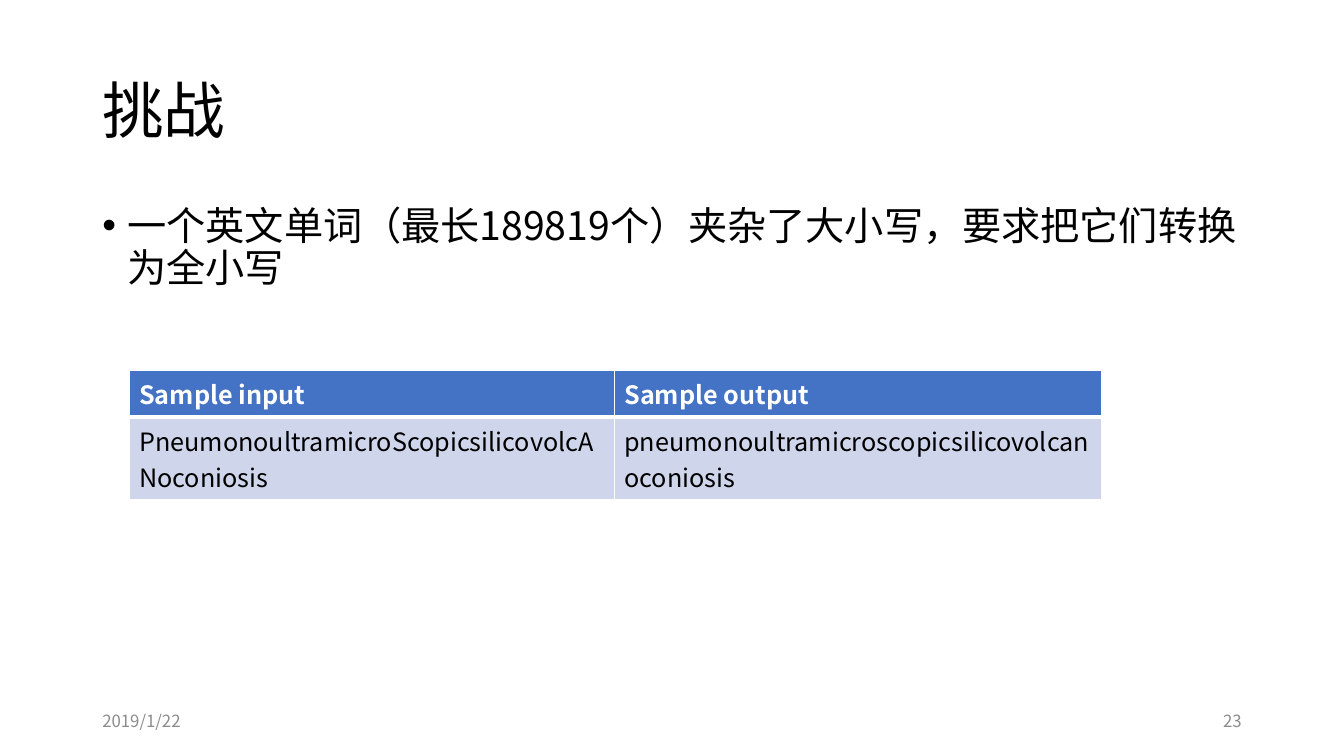
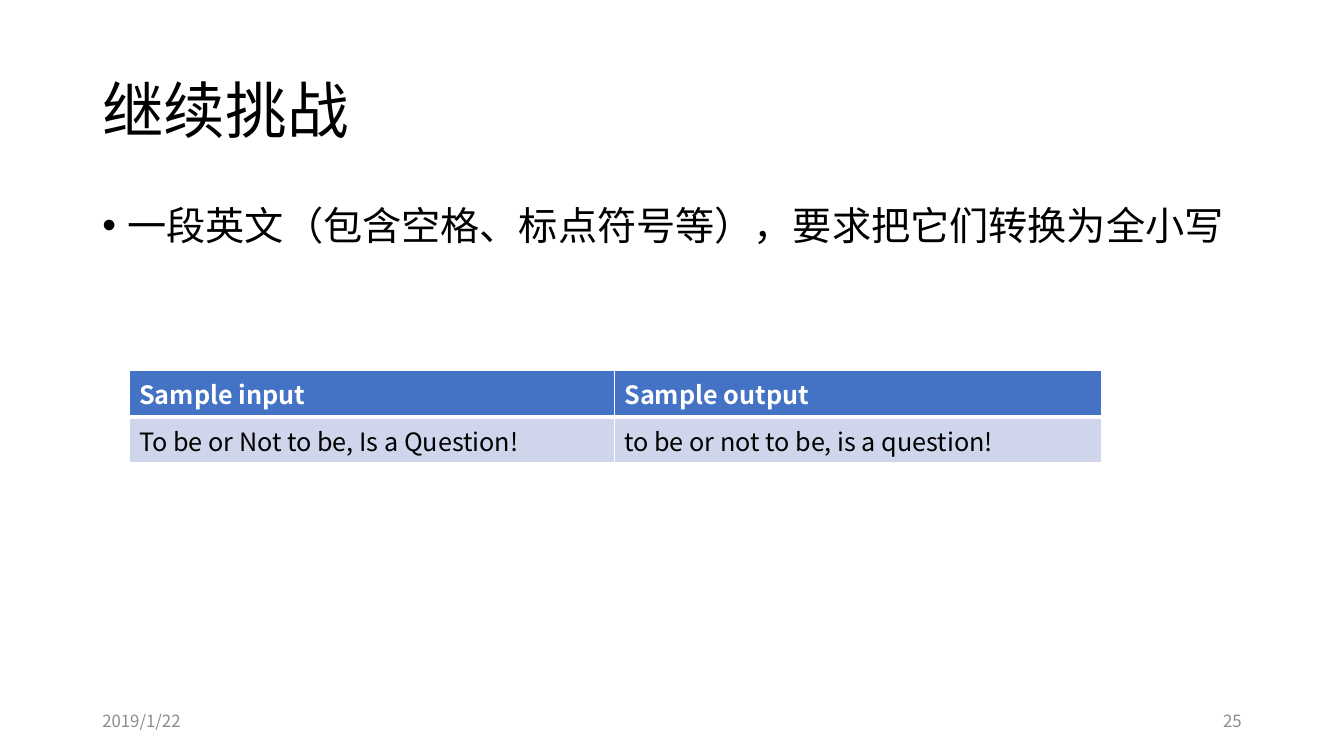
from lxml.etree import SubElement
from pptx import Presentation
from pptx.dml.color import RGBColor
from pptx.enum.text import MSO_ANCHOR, PP_ALIGN
from pptx.oxml import parse_xml
from pptx.oxml.ns import nsdecls, qn
from pptx.util import Pt

PX = 9525
WIDTH, HEIGHT = 1280, 720
MARGIN = 88
CONTENT_W = WIDTH - 2 * MARGIN
FOOTER_W = 288
INDENT = 24
COLUMN_WIDTHS = (462, 464)

BLACK = RGBColor(0x00, 0x00, 0x00)
WHITE = RGBColor(0xFF, 0xFF, 0xFF)
GRAY = RGBColor(0x8C, 0x8C, 0x8C)
BLUE = RGBColor(0x44, 0x72, 0xC4)
PALE_BLUE = RGBColor(0xCF, 0xD5, 0xEA)


class Deck:
    font = "Noto Sans CJK SC"
    date = "2019/1/22"

    def __init__(self):
        self.prs = Presentation()
        self.prs.slide_width = WIDTH * PX
        self.prs.slide_height = HEIGHT * PX
        self.s = None

    def new_slide(self, title, number):
        self.s = self.prs.slides.add_slide(self.prs.slide_layouts[6])
        p = self.text(title, MARGIN, 39, CONTENT_W, 139, 44, BLACK, MSO_ANCHOR.MIDDLE)
        p.line_spacing = 0.9
        self.footer(self.date, MARGIN, PP_ALIGN.LEFT)
        self.footer(str(number), WIDTH - MARGIN - FOOTER_W, PP_ALIGN.RIGHT)

    def style(self, p, size, color, bold=False):
        p.font.name = self.font
        p.font.size = Pt(size)
        p.font.bold = bold
        p.font.color.rgb = color
        props = p._p.get_or_add_pPr().find(qn("a:defRPr"))
        SubElement(props, qn("a:ea"), typeface=self.font)

    def text(self, text, x, y, w, h, size, color, anchor=MSO_ANCHOR.TOP):
        tf = self.s.shapes.add_textbox(x * PX, y * PX, w * PX, h * PX).text_frame
        tf.word_wrap = True
        tf.vertical_anchor = anchor
        p = tf.paragraphs[0]
        p.text = text
        self.style(p, size, color)
        return p

    def footer(self, text, x, align):
        p = self.text(text, x, 667, FOOTER_W, 38, 12, GRAY, MSO_ANCHOR.MIDDLE)
        p.alignment = align

    def bullet(self, text):
        p = self.text(text, MARGIN, 192, CONTENT_W, 457, 28, BLACK)
        p.line_spacing = 0.9
        p.space_before = Pt(10)
        props = p._p.get_or_add_pPr()
        props.set("marL", str(INDENT * PX))
        props.set("indent", str(-INDENT * PX))
        font_end = props.find(qn("a:defRPr"))
        for mark in ('buFont {} typeface="Arial"', 'buChar {} char="•"'):
            font_end.addprevious(parse_xml(f'<a:{mark.format(nsdecls("a"))}/>'))

    def borders(self, cell, **widths):
        props = cell._tc.get_or_add_tcPr()
        for i, side in enumerate("LRTB"):
            width = Pt(widths.get(side, 1))
            props.insert(i, parse_xml(
                f'<a:ln{side} {nsdecls("a")} w="{width}"><a:solidFill>'
                f'<a:srgbClr val="{WHITE}"/></a:solidFill></a:ln{side}>'))

    def cell(self, cell, text, fill, color, bold):
        cell.fill.solid()
        cell.fill.fore_color.rgb = fill
        p = cell.text_frame.paragraphs[0]
        p.text = text
        self.style(p, 18, color, bold)

    def sample_table(self, sample_input, sample_output, row_heights):
        table = self.s.shapes.add_table(
            2, 2, 123 * PX, 353 * PX,
            sum(COLUMN_WIDTHS) * PX, sum(row_heights) * PX).table
        for row, height in zip(table.rows, row_heights):
            row.height = height * PX
        for column, width in zip(table.columns, COLUMN_WIDTHS):
            column.width = width * PX
        samples = (("Sample input", sample_input), ("Sample output", sample_output))
        for i, (heading, sample) in enumerate(samples):
            head, body = table.cell(0, i), table.cell(1, i)
            self.cell(head, heading, BLUE, WHITE, True)
            self.cell(body, sample, PALE_BLUE, BLACK, False)
            self.borders(head, B=3)
            self.borders(body, T=3)


def main():
    deck = Deck()
    challenges = (
        ("挑战", 23, "一个英文单词（最长189819个）夹杂了大小写，要求把它们转换为全小写",
         "PneumonoultramicroScopicsilicovolcANoconiosis",
         "pneumonoultramicroscopicsilicovolcanoconiosis", (44, 79)),
        ("继续挑战", 25, "一段英文（包含空格、标点符号等），要求把它们转换为全小写",
         "To be or Not to be, Is a Question!",
         "to be or not to be, is a question!", (44, 44)),
    )
    for title, number, task, sample_input, sample_output, row_heights in challenges:
        deck.new_slide(title, number)
        deck.bullet(task)
        deck.sample_table(sample_input, sample_output, row_heights)
    deck.prs.save("out.pptx")


if __name__ == "__main__":
    main()
